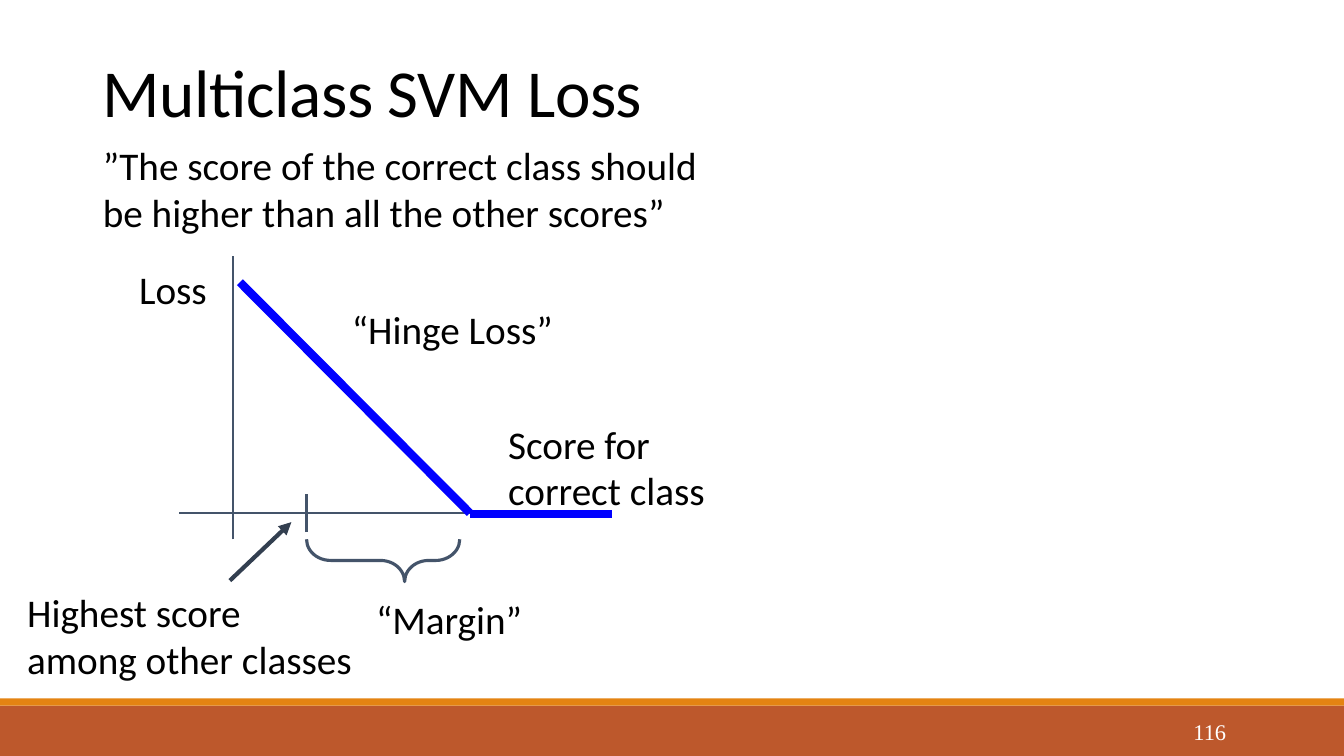
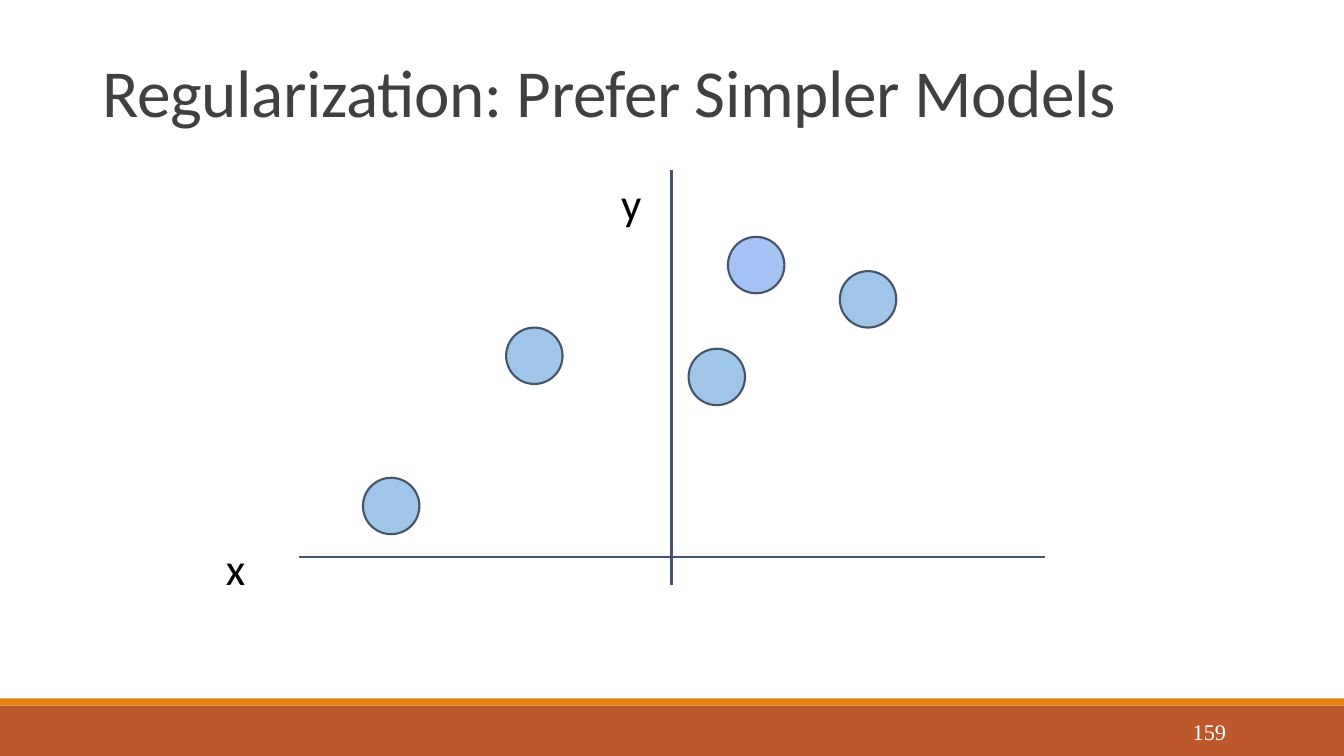
"""Builds two lecture slides on the multiclass SVM loss and on regularization."""
from dataclasses import dataclass

from lxml import etree
from pptx import Presentation
from pptx.dml.color import RGBColor
from pptx.enum.shapes import MSO_CONNECTOR, MSO_SHAPE
from pptx.enum.text import MSO_ANCHOR, MSO_AUTO_SIZE, PP_ALIGN
from pptx.oxml.ns import qn
from pptx.util import Inches, Pt

STRAIGHT = MSO_CONNECTOR.STRAIGHT
RECTANGLE, OVAL, BRACE = MSO_SHAPE.RECTANGLE, MSO_SHAPE.OVAL, MSO_SHAPE.RIGHT_BRACE
TOP, MIDDLE = MSO_ANCHOR.TOP, MSO_ANCHOR.MIDDLE
LEFT, RIGHT = PP_ALIGN.LEFT, PP_ALIGN.RIGHT
NO_AUTOFIT = MSO_AUTO_SIZE.NONE

BLACK = RGBColor(0x00, 0x00, 0x00)
WHITE = RGBColor(0xFF, 0xFF, 0xFF)
CHARCOAL = RGBColor(0x40, 0x40, 0x40)
SLATE = RGBColor(0x44, 0x54, 0x6A)
DARK_SLATE = RGBColor(0x33, 0x3F, 0x50)
BLUE = RGBColor(0x00, 0x00, 0xFF)
SKY = RGBColor(0x9F, 0xC5, 0xE8)
PERIWINKLE = RGBColor(0xA4, 0xC2, 0xF4)
RUST = RGBColor(0xBD, 0x58, 0x2C)
ORANGE = RGBColor(0xE4, 0x83, 0x12)

BODY_FONT, NUMBER_FONT = "Calibri", "Times New Roman"
PAGE_WIDTH, PAGE_HEIGHT = 13.33, 7.5
TITLE_SPACING = "-30"
POINT_SIZE = 0.56


@dataclass(frozen=True)
class Label:
    """A text at a place, in inches."""
    text: str
    left: float
    top: float
    width: float
    height: float = 0.46
    size: float = 28
    leading: float | None = 33.3


@dataclass(frozen=True)
class Stroke:
    """A straight line between two points, in inches."""
    start: tuple[float, float]
    end: tuple[float, float]
    color: RGBColor = SLATE
    weight: float = 1.5
    arrow: bool = False


@dataclass(frozen=True)
class DataPoint:
    """A round marker placed by its top left corner, in inches."""
    left: float
    top: float
    color: RGBColor = SKY


LOSS_STROKES = (
    Stroke((1.78, 5.09), (4.66, 5.09)),
    Stroke((2.31, 5.35), (2.31, 2.54)),
    Stroke((3.04, 5.28), (3.04, 4.9)),
    Stroke((4.66, 5.1), (6.07, 5.1), BLUE, 6),
    Stroke((2.38, 2.8), (4.66, 5.09), BLUE, 6),
    Stroke((2.28, 5.76), (2.89, 5.18), DARK_SLATE, 3, arrow=True),
)
LOSS_LABELS = (
    Label("”The score of the correct class should\vbe higher than all the other scores”",
          1.02, 1.41, 6.3, 0.92),
    Label("Loss", 1.38, 2.64, 0.8),
    Label("“Hinge Loss”", 3.49, 3.03, 2.2),
    Label("Score for\vcorrect class", 5.04, 4.17, 2.2, 0.92),
    Label("Highest score\vamong other classes", 0.27, 5.84, 3.4, 0.92),
    Label("“Margin”", 3.73, 5.91, 1.6),
)
AXES = (
    Stroke((2.97, 5.53), (10.36, 5.53)),
    Stroke((6.66, 1.69), (6.66, 5.8)),
)
AXIS_LABELS = (
    Label("x", 2.24, 5.36, 0.4, 0.54, 32, None),
    Label("y", 6.16, 1.74, 0.4, 0.54, 32, None),
)
DATA_POINTS = (
    DataPoint(3.6, 4.74),
    DataPoint(5.02, 3.25),
    DataPoint(8.33, 2.69),
    DataPoint(6.83, 3.46),
    DataPoint(7.22, 2.35, PERIWINKLE),
)


def set_font(para, name: str, size: float, color: RGBColor) -> None:
    """Format a whole paragraph."""
    para.font.name = name
    para.font.size = Pt(size)
    para.font.color.rgb = color


def clear_insets(frame) -> None:
    """Remove the inner margins of a text frame."""
    frame.margin_left = frame.margin_right = 0
    frame.margin_top = frame.margin_bottom = 0


def add_band(page, top: float, height: float, color: RGBColor):
    """Draw a full-width band and return it."""
    band = page.shapes.add_shape(RECTANGLE, 0, Inches(top), Inches(PAGE_WIDTH), Inches(height))
    band.shadow.inherit = False
    band.fill.solid()
    band.fill.fore_color.rgb = color
    band.line.fill.background()
    return band


def prepare_layout(layout, page) -> None:
    """Give the layout its title place and bottom bands."""
    title, *footers = layout.placeholders
    for footer in footers:
        footer.element.getparent().remove(footer.element)
    title.left, title.top = Inches(1.02), Inches(0.5)
    title.width, title.height = Inches(11.67), Inches(0.81)
    for band in (add_band(page, 6.93, 0.07, ORANGE), add_band(page, 7, 0.5, RUST)):
        layout.shapes.element.insert(2, band.element)


def add_title(page, text: str, color: RGBColor) -> None:
    """Fill and format the title placeholder."""
    frame = page.shapes.title.text_frame
    frame.text = text
    frame.auto_size = NO_AUTOFIT
    frame.vertical_anchor = TOP
    clear_insets(frame)
    para = frame.paragraphs[0]
    para.alignment = LEFT
    set_font(para, BODY_FONT, 48, color)
    para._p.get_or_add_pPr().find(qn("a:defRPr")).set("spc", TITLE_SPACING)


def add_page_number(page, number: int) -> None:
    """Write the page number on the bottom band."""
    box = page.shapes.add_textbox(Inches(10.83), Inches(7.06), Inches(1.43), Inches(0.4))
    frame = box.text_frame
    frame.word_wrap = True
    frame.vertical_anchor = MIDDLE
    para = frame.paragraphs[0]
    para.text = str(number)
    para.alignment = RIGHT
    set_font(para, NUMBER_FONT, 16, WHITE)


def add_label(page, label: Label) -> None:
    """Write a label without inner margins."""
    box = page.shapes.add_textbox(Inches(label.left), Inches(label.top),
                                  Inches(label.width), Inches(label.height))
    frame = box.text_frame
    frame.word_wrap = True
    clear_insets(frame)
    para = frame.paragraphs[0]
    para.text = label.text
    if label.leading:
        para.line_spacing = Pt(label.leading)
    set_font(para, BODY_FONT, label.size, BLACK)


def add_stroke(page, stroke: Stroke) -> None:
    """Draw a line, with an arrowhead at its end if asked."""
    ends = [Inches(value) for value in (*stroke.start, *stroke.end)]
    connector = page.shapes.add_connector(STRAIGHT, *ends)
    connector.line.color.rgb = stroke.color
    connector.line.width = Pt(stroke.weight)
    properties = connector.element.spPr
    if stroke.arrow:
        etree.SubElement(properties.find(qn("a:ln")), qn("a:tailEnd"), type="triangle")
    etree.SubElement(properties, qn("a:effectLst"))


def add_point(page, point: DataPoint) -> None:
    """Draw one data point."""
    size = Inches(POINT_SIZE)
    marker = page.shapes.add_shape(OVAL, Inches(point.left), Inches(point.top), size, size)
    marker.shadow.inherit = False
    marker.fill.solid()
    marker.fill.fore_color.rgb = point.color
    marker.line.color.rgb = SLATE
    marker.line.width = Pt(1.5)


def add_margin_brace(page) -> None:
    """Draw the brace that spans the margin, pointing down."""
    brace = page.shapes.add_shape(BRACE, Inches(3.59), Inches(4.8), Inches(0.42), Inches(1.52))
    brace.rotation = 90
    brace.adjustments[0] = 0.57
    brace.adjustments[1] = 0.36
    brace.shadow.inherit = False
    brace.fill.background()
    brace.line.color.rgb = SLATE
    brace.line.width = Pt(2.25)


def main() -> None:
    """Build and save the deck."""
    deck = Presentation()
    deck.slide_width, deck.slide_height = Inches(PAGE_WIDTH), Inches(PAGE_HEIGHT)
    layout = deck.slide_layouts[5]
    loss_page, models_page = (deck.slides.add_slide(layout) for _ in range(2))
    prepare_layout(layout, loss_page)

    add_title(loss_page, "Multiclass SVM Loss", BLACK)
    add_page_number(loss_page, 116)
    for stroke in LOSS_STROKES:
        add_stroke(loss_page, stroke)
    add_margin_brace(loss_page)
    for label in LOSS_LABELS:
        add_label(loss_page, label)

    add_title(models_page, "Regularization: Prefer Simpler Models", CHARCOAL)
    add_page_number(models_page, 159)
    for stroke in AXES:
        add_stroke(models_page, stroke)
    for point in DATA_POINTS:
        add_point(models_page, point)
    for label in AXIS_LABELS:
        add_label(models_page, label)

    deck.save("out.pptx")


if __name__ == "__main__":
    main()
